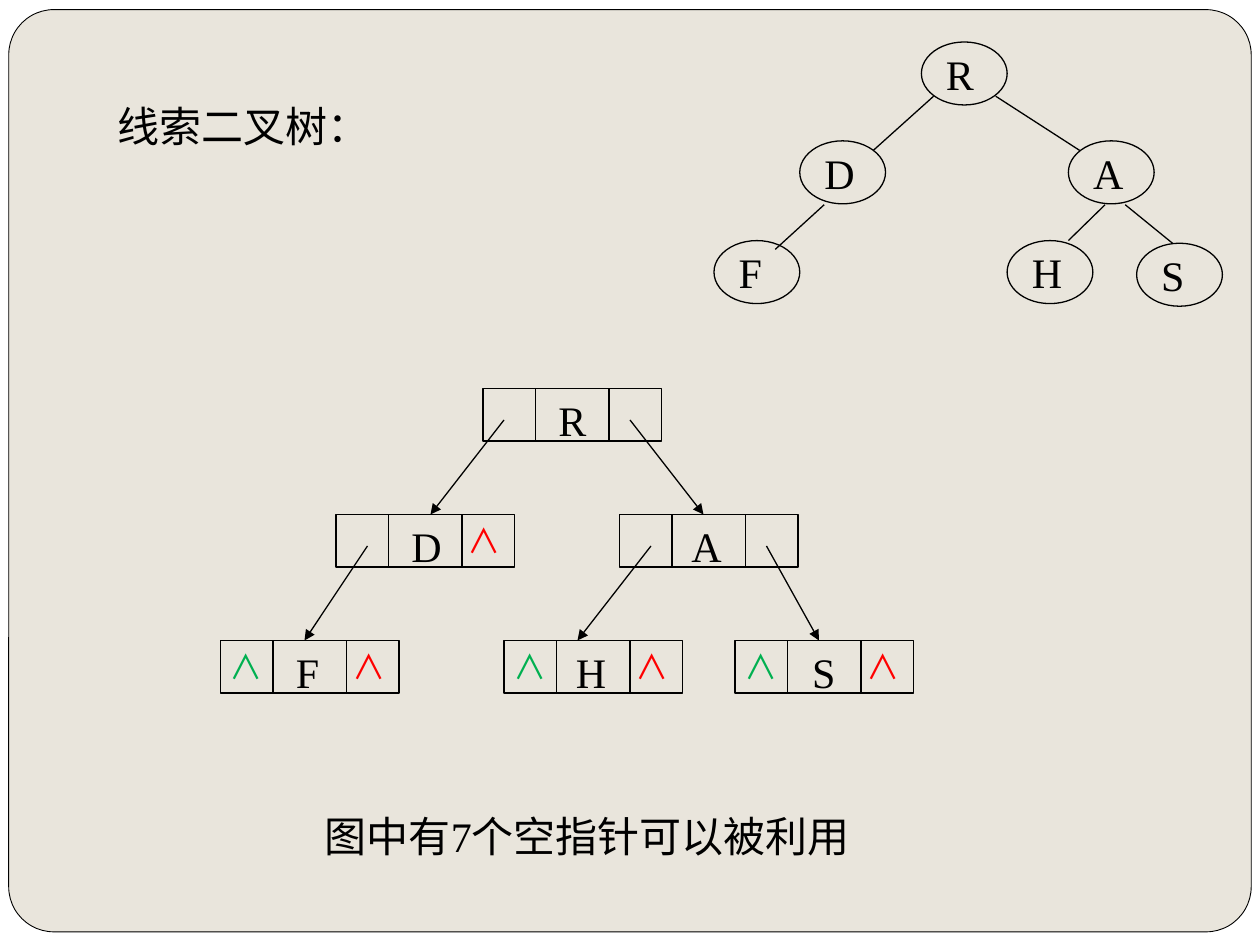
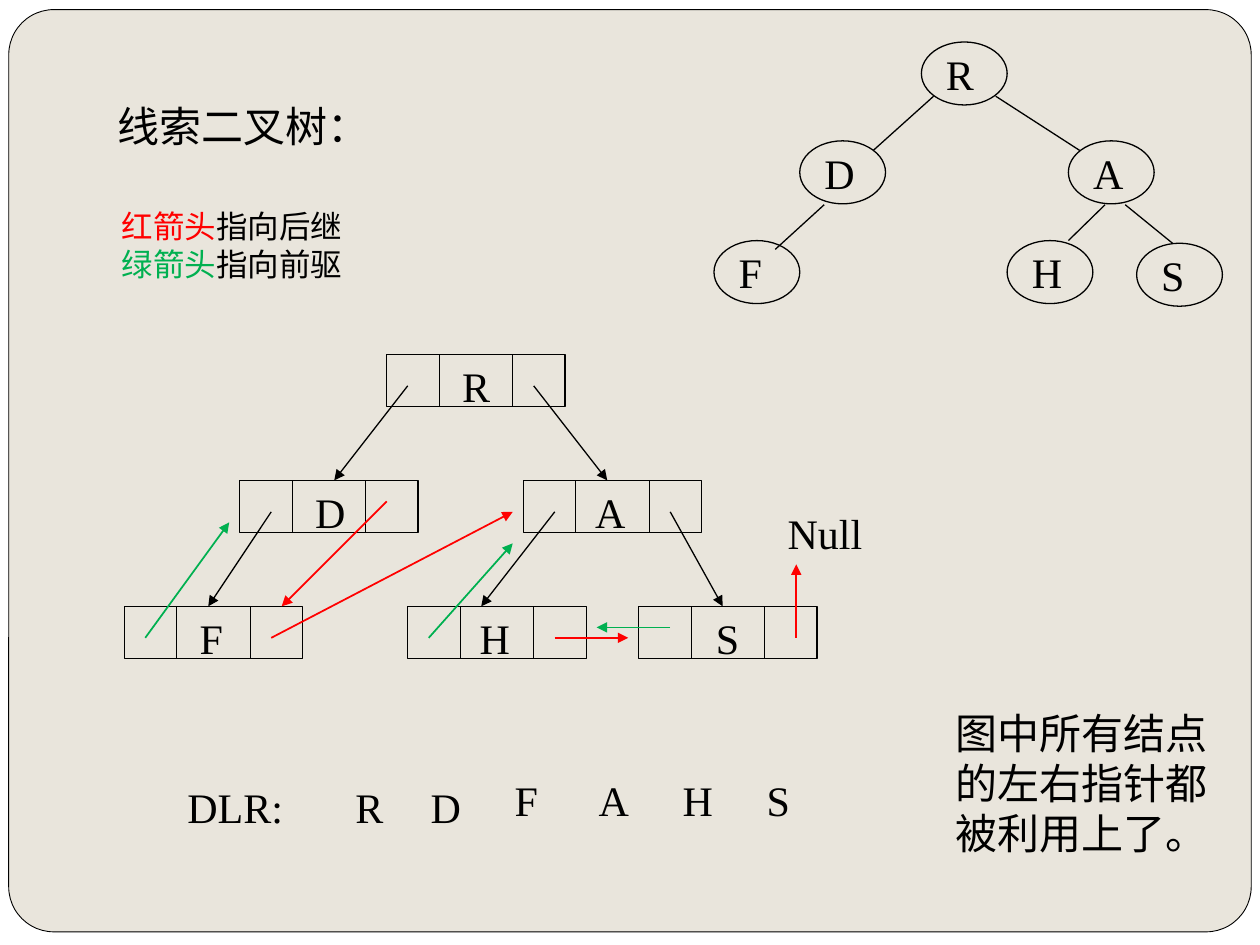
from dataclasses import dataclass

from lxml.etree import SubElement
from pptx import Presentation
from pptx.dml.color import RGBColor
from pptx.enum.shapes import MSO_CONNECTOR as Connector, MSO_SHAPE as Shape
from pptx.enum.text import MSO_ANCHOR as Anchor, PP_ALIGN as Align
from pptx.oxml.ns import qn
from pptx.util import Pt


@dataclass(frozen=True)
class Theme:
    ink: str = "000000"
    red: str = "FF0000"
    green: str = "00B050"
    panel: str = "E9E5DC"
    paper: str = "FFFFFF"
    latin: str = "Times New Roman"
    chinese: str = "Noto Sans CJK SC"
    body: int = 24
    legend: int = 18
    mark: int = 19
    thin: float = 0.75
    thread: float = 1


THEME = Theme()
TITLE = "线索二叉树："
SPARE_POINTERS = "图中有7个空指针可以被利用"
ALL_USED = ["图中所有结点", "的左右指针都", "被利用上了。"]
LEGEND = [
    [("红箭头", THEME.red), ("指向后继", THEME.ink)],
    [("绿箭头", THEME.green), ("指向前驱", THEME.ink)],
]

TREE_NODES = {
    "R": (526.5, 24), "D": (457, 80.5), "A": (610.5, 80.5),
    "F": (408, 137.5), "H": (575.5, 137.5), "S": (649.5, 139),
}
TREE_EDGES = [
    ((533.5, 55), (499, 86)), ((471, 117), (443, 142.5)),
    ((643, 117), (670, 139)), ((569, 55), (617, 86)),
    ((631.5, 117), (610.5, 137.5)),
]

LETTER_WIDTHS = {"R": 30, "D": 32, "A": 32, "F": 28, "H": 32, "S": 28}
RECORD_WIDTH, RECORD_HEIGHT, LEVEL_STEP = 102, 30, 72
DIVIDERS = (30, 72)
RECORDS = {
    "R": (0, 0, 36), "D": (-84, 1, 36), "A": (78, 1, 34),
    "F": (-150, 2, 36), "H": (12, 2, 34), "S": (144, 2, 37),
}
CHILD_LINKS = [
    ("R", 12, 18, "D", 54, 0), ("R", 84, 18, "A", 48, 0),
    ("D", 18, 18, "F", 48, 0), ("A", 84, 18, "S", 48, 0),
    ("A", 18, 18, "H", 42, 0),
]
SUCCESSORS = [
    ("D", 84, 12, "F", 90, 0), ("F", 84, 18, "A", -6, 18),
    ("H", 84, 18, "S", -6, 18), ("S", 90, 18, "S", 90, -24),
]
PREDECESSORS = [
    ("F", 12, 18, "D", -6, 24), ("S", 18, 12, "H", 108, 12),
    ("H", 12, 18, "A", -6, 36),
]
EMPTY_LEFT = "FHS"
EMPTY_RIGHT = "DFHS"
MARK_CENTRES = {"left": 15, "right": 85}

PREORDER = [
    ("R", 196, 443), ("D", 239, 443), ("F", 287, 439),
    ("A", 335, 439), ("H", 383, 439), ("S", 431, 439),
]


def rgb(colour):
    return RGBColor.from_string(colour)


def write(shape, text, size=THEME.body, colour=THEME.ink, latin=THEME.latin, wrap=False):
    frame = shape.text_frame
    frame.word_wrap = wrap
    frame.vertical_anchor = Anchor.TOP
    paragraphs = text if isinstance(text, list) else [text]
    for index, content in enumerate(paragraphs):
        paragraph = frame.add_paragraph() if index else frame.paragraphs[0]
        paragraph.alignment = Align.LEFT
        runs = [(content, colour)] if isinstance(content, str) else content
        for words, run_colour in runs:
            run = paragraph.add_run()
            run.text = words
            run.font.size = Pt(size)
            run.font.name = latin
            run.font.color.rgb = rgb(run_colour)
            SubElement(run.font._element, qn("a:ea"), typeface=THEME.chinese)


def add_text(slide, text, left, top, width, height=36, **text_format):
    box = slide.shapes.add_textbox(Pt(left), Pt(top), Pt(width), Pt(height))
    write(box, text, **text_format)


def add_outline(slide, kind, left, top, width, height, weight=THEME.thin):
    shape = slide.shapes.add_shape(kind, Pt(left), Pt(top), Pt(width), Pt(height))
    shape.shadow.inherit = False
    shape.fill.background()
    shape.line.color.rgb = rgb(THEME.ink)
    shape.line.width = Pt(weight)
    return shape


def add_line(slide, start, end, colour=THEME.ink, weight=THEME.thin, arrow=False):
    points = [Pt(value) for value in (*start, *end)]
    line = slide.shapes.add_connector(Connector.STRAIGHT, *points)
    line.line.color.rgb = rgb(colour)
    line.line.width = Pt(weight)
    if arrow:
        SubElement(line.line._get_or_add_ln(), qn("a:tailEnd"), type="triangle")
    SubElement(line._element.spPr, qn("a:effectLst"))


def add_panel_to_master(presentation, slide):
    master = presentation.slide_master
    master.background.fill.solid()
    master.background.fill.fore_color.rgb = rgb(THEME.paper)
    panel = add_outline(slide, Shape.ROUNDED_RECTANGLE, 5, 5.5, 710, 527, weight=0.5)
    panel.adjustments[0] = 0.049
    panel.fill.solid()
    panel.fill.fore_color.rgb = rgb(THEME.panel)
    master.element.cSld.spTree.insert(2, panel._element)


def add_titled_slide(presentation):
    slide = presentation.slides.add_slide(presentation.slide_layouts[5])
    title = slide.shapes.title
    title.left, title.top, title.width, title.height = Pt(60), Pt(54), Pt(158.4), Pt(36)
    write(title, TITLE)
    return slide


def add_tree(slide):
    for letter, (left, top) in TREE_NODES.items():
        add_outline(slide, Shape.OVAL, left, top, 49, 36)
        add_text(slide, letter, left + 7, top, LETTER_WIDTHS[letter])
    for start, end in TREE_EDGES:
        add_line(slide, start, end)


def place_records(root_left, root_top):
    return {
        letter: (root_left + shift, root_top + level * LEVEL_STEP)
        for letter, (shift, level, _) in RECORDS.items()
    }


def add_links(slide, places, links, **line_format):
    for source, source_x, source_y, target, target_x, target_y in links:
        left, top = places[source]
        target_left, target_top = places[target]
        add_line(slide, (left + source_x, top + source_y),
                 (target_left + target_x, target_top + target_y),
                 arrow=True, **line_format)


def add_records(slide, places):
    for letter, (left, top) in places.items():
        add_outline(slide, Shape.RECTANGLE, left, top, RECORD_WIDTH, RECORD_HEIGHT)
        for divider in DIVIDERS:
            x = left + divider
            add_line(slide, (x, top), (x, top + RECORD_HEIGHT))
        add_text(slide, letter, left + RECORDS[letter][2], top, LETTER_WIDTHS[letter])
    add_links(slide, places, CHILD_LINKS)


def add_empty_marks(slide, places):
    width = THEME.mark + 14.4
    for letters, side, colour in (
        (EMPTY_LEFT, "left", THEME.green), (EMPTY_RIGHT, "right", THEME.red),
    ):
        for letter in letters:
            left, top = places[letter]
            add_text(slide, "∧", left + MARK_CENTRES[side] - width / 2, top, width,
                     size=THEME.mark, colour=colour, latin=THEME.chinese)


def build_empty_pointers(slide):
    add_tree(slide)
    places = place_records(276, 222)
    add_records(slide, places)
    add_empty_marks(slide, places)
    add_text(slide, SPARE_POINTERS, 178.5, 459.5, 314.5, wrap=True)


def build_threads(slide):
    add_tree(slide)
    places = place_records(221, 202.5)
    add_records(slide, places)
    add_links(slide, places, SUCCESSORS, colour=THEME.red, weight=THEME.thread)
    add_links(slide, places, PREDECESSORS, colour=THEME.green, weight=THEME.thread)
    add_text(slide, "Null", 443, 286.5, 57)
    add_text(slide, "DLR:", 100, 443, 69)
    for letter, left, top in PREORDER:
        add_text(slide, letter, left, top, LETTER_WIDTHS[letter])
    add_text(slide, ALL_USED, 539, 400.5, 158.4, 94)
    add_text(slide, LEGEND, 62.5, 115, 142, 51, size=THEME.legend)


def main():
    presentation = Presentation()
    presentation.slide_width, presentation.slide_height = Pt(720), Pt(540)
    slides = [add_titled_slide(presentation) for _ in range(2)]
    add_panel_to_master(presentation, slides[0])
    build_empty_pointers(slides[0])
    build_threads(slides[1])
    presentation.save("out.pptx")


if __name__ == "__main__":
    main()
